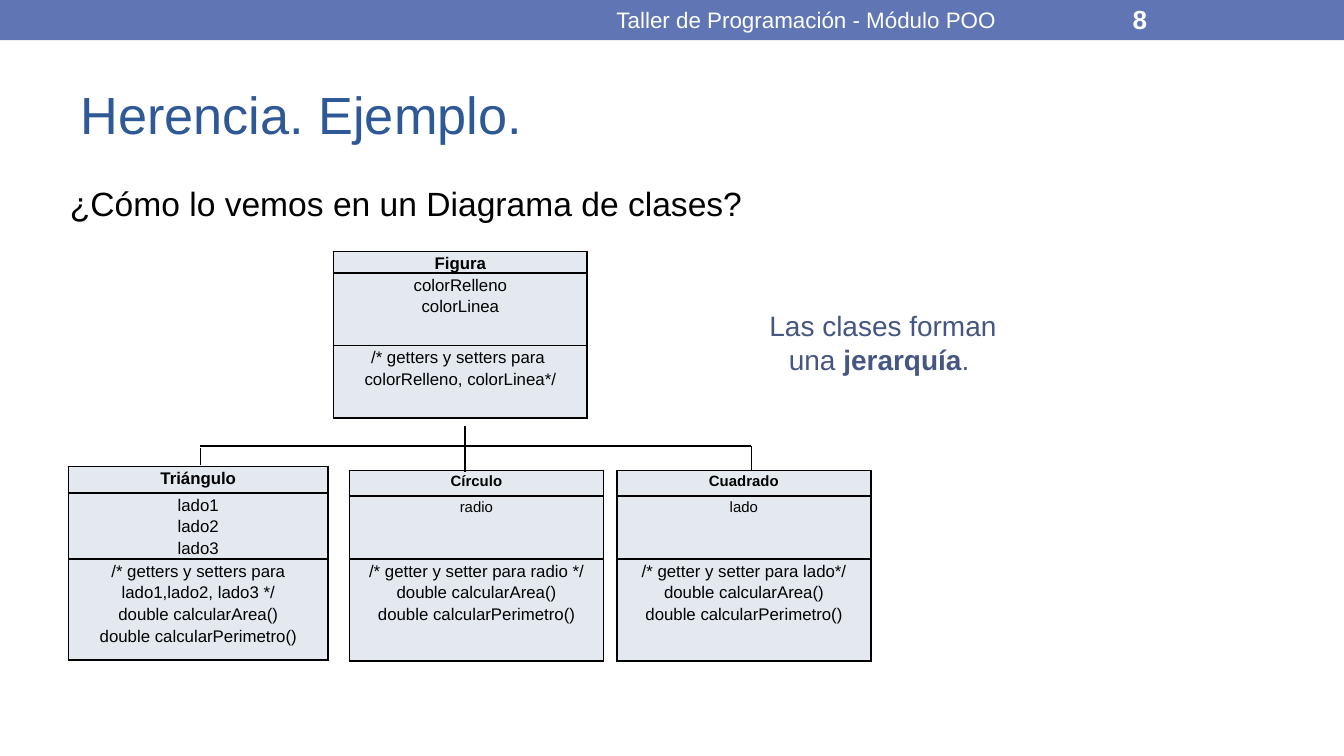
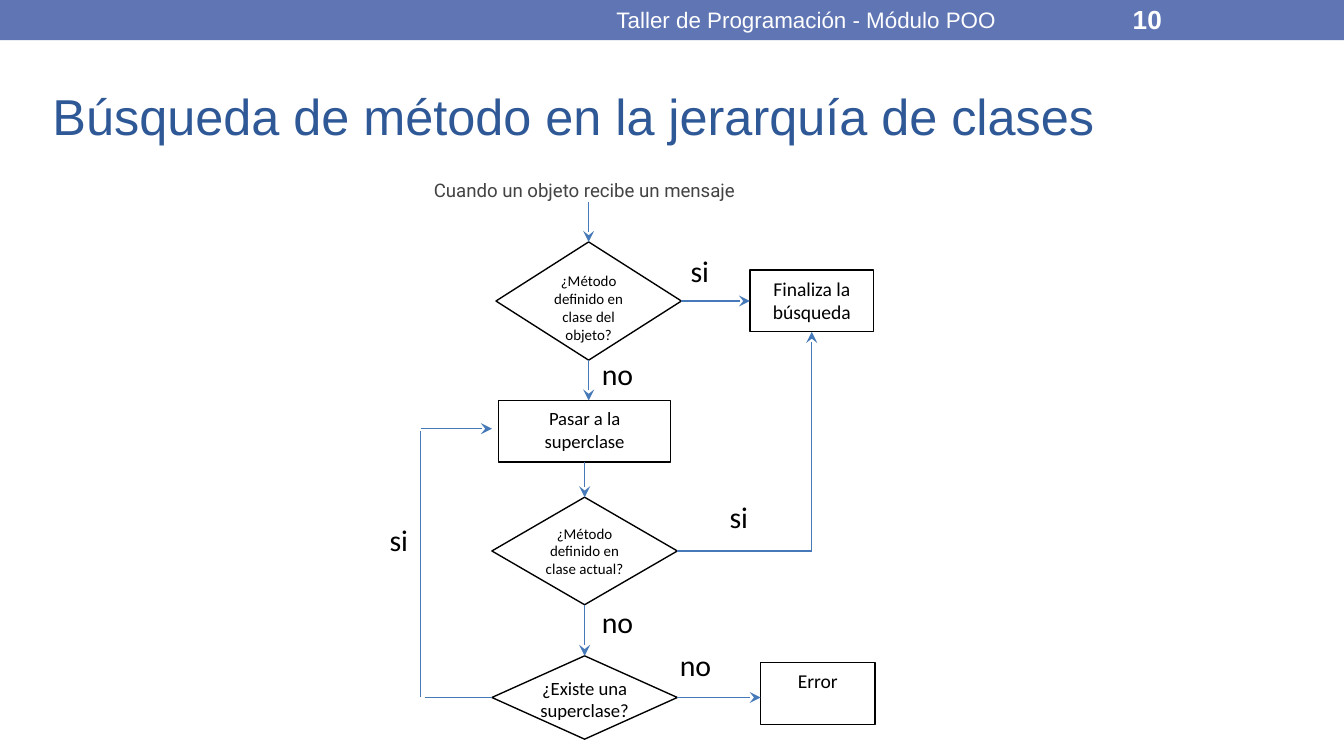
from pptx import Presentation
from pptx.dml.color import RGBColor
from pptx.enum.shapes import MSO_CONNECTOR as Connector, MSO_SHAPE as Preset
from pptx.enum.text import MSO_ANCHOR as Anchor, MSO_AUTO_SIZE as AutoSize, PP_ALIGN as Align
from pptx.oxml.ns import qn
from pptx.util import Pt
from lxml.etree import SubElement

EMU_PER_PX = 9144
SLIDE_WIDTH = 1000
BAND_HEIGHT = 30

WHITE = RGBColor(0xFF, 0xFF, 0xFF)
BLACK = RGBColor(0x00, 0x00, 0x00)
BAND_BLUE = RGBColor(0x60, 0x76, 0xB4)
TITLE_BLUE = RGBColor(0x2F, 0x58, 0x97)
NOTE_BLUE = RGBColor(0x46, 0x56, 0x83)
CELL_GREY = RGBColor(0xE4, 0xE9, 0xEF)
ARROW_BLUE = RGBColor(0x45, 0x79, 0xB8)
CAPTION_GREY = RGBColor(0x43, 0x43, 0x43)

TOP, LEFT, BOTTOM, RIGHT = range(4)


def px(*lengths):
    """Turn px lengths into a list of EMU."""
    return [length * EMU_PER_PX for length in lengths]


def shift(origin, box):
    """Move a box or point from its region's origin to the slide."""
    return (origin[0] + box[0], origin[1] + box[1], *box[2:])


def format_paragraph(paragraph, font, size, color, bold=False, align=Align.LEFT):
    """Format a paragraph and all its runs."""
    paragraph.alignment = align
    for run in paragraph.runs:
        run.font.name = font
        run.font.size = Pt(size)
        run.font.color.rgb = color
        run.font.bold = bold


def set_frame(text_frame, anchor=Anchor.TOP, inset=(10, 5)):
    """Set wrapping, anchor and insets of a text frame."""
    text_frame.word_wrap = True
    text_frame.auto_size = AutoSize.NONE
    text_frame.vertical_anchor = anchor
    across, down = px(*inset)
    text_frame.margin_left = text_frame.margin_right = across
    text_frame.margin_top = text_frame.margin_bottom = down


def add_text(shapes, box, text, font, size, color, bold=False, align=Align.LEFT,
             anchor=Anchor.TOP, inset=(10, 5)):
    """Add a text box with one formatted paragraph."""
    text_frame = shapes.add_textbox(*px(*box)).text_frame
    set_frame(text_frame, anchor, inset)
    text_frame.text = text
    format_paragraph(text_frame.paragraphs[0], font, size, color, bold, align)
    return text_frame


def fill_placeholder(placeholder, box, text, size, color, anchor=Anchor.TOP):
    """Place a title or body placeholder and set its text."""
    placeholder.left, placeholder.top, placeholder.width, placeholder.height = px(*box)
    set_frame(placeholder.text_frame, anchor)
    placeholder.text_frame.text = text
    paragraph = placeholder.text_frame.paragraphs[0]
    paragraph.space_before = Pt(0)
    format_paragraph(paragraph, "Arial", size, color)
    return paragraph


def add_line(shapes, start, end, color, arrow=False):
    """Draw a line between points or (shape, site) joints."""
    joints = [end_at if hasattr(end_at[0], "shape_id") else None for end_at in (start, end)]
    points = [(0, 0) if joint else px(*end_at) for joint, end_at in zip(joints, (start, end))]
    line = shapes.add_connector(Connector.STRAIGHT, *points[0], *points[1])
    if joints[0]:
        line.begin_connect(*joints[0])
    if joints[1]:
        line.end_connect(*joints[1])
    line.line.color.rgb = color
    line.line.width = Pt(0.75)
    if arrow:
        SubElement(line.line._get_or_add_ln(), qn("a:tailEnd"), type="stealth")
    SubElement(line.element.spPr, qn("a:effectLst"))


def add_master_band(presentation, slide):
    """Put the coloured band on the slide master."""
    band = slide.shapes.add_shape(Preset.RECTANGLE, *px(0, 0, SLIDE_WIDTH, BAND_HEIGHT))
    band.shadow.inherit = False
    band.fill.solid()
    band.fill.fore_color.rgb = BAND_BLUE
    band.line.fill.background()
    presentation.slide_master.shapes.element.append(band.element)


def add_header(slide, number):
    """Write the course name and slide number on the band."""
    add_text(slide.shapes, (375, 1, 450, 27), "Taller de Programación - Módulo POO",
             "Arial", 12, WHITE, align=Align.CENTER, anchor=Anchor.MIDDLE)
    add_text(slide.shapes, (833, 1, 117, 27), str(number), "Arial", 14, WHITE,
             bold=True, anchor=Anchor.MIDDLE)


def add_borders(cell):
    """Give a cell thin black borders on all sides."""
    properties = cell._tc.get_or_add_tcPr()
    for side in ("lnL", "lnR", "lnT", "lnB"):
        border = SubElement(properties, qn(f"a:{side}"), w=str(Pt(1)))
        fill = SubElement(border, qn("a:solidFill"))
        SubElement(fill, qn("a:srgbClr"), val=str(BLACK))


def add_class_table(slide, origin, place, row_heights, sections, sizes):
    """Add a class box with its name, attributes and methods."""
    left, top, width = shift(origin, place)
    frame = slide.shapes.add_table(3, 1, *px(left, top, width, sum(row_heights)))
    table = frame.table
    table.first_row = table.horz_banding = False
    for index, (height, text, size) in enumerate(zip(row_heights, sections, sizes)):
        table.rows[index].height = px(height)[0]
        cell = table.cell(index, 0)
        cell.margin_left = cell.margin_right = px(7)[0]
        cell.margin_top = cell.margin_bottom = 0
        add_borders(cell)
        cell.fill.solid()
        cell.fill.fore_color.rgb = CELL_GREY
        cell.text_frame.text = text
        for paragraph in cell.text_frame.paragraphs:
            paragraph.line_spacing = 1.15
            format_paragraph(paragraph, "Arial", size, BLACK, index == 0, Align.CENTER)


def add_class_diagram(slide, origin):
    """Draw the parent class, its three subclasses and the tree."""
    calculations = "\ndouble calcularArea()\ndouble calcularPerimetro()"
    classes = [
        ((197, 0, 189), (16, 54, 54), (9, 9, 9),
         ("Figura", "colorRelleno\ncolorLinea",
          "/* getters y setters para \ncolorRelleno, colorLinea*/")),
        ((209, 163, 189), (19, 47, 76), (8, 8, 9),
         ("Círculo", "radio", "/* getter y setter para radio */" + calculations)),
        ((0, 160, 193), (20, 49, 75), (9, 9, 9),
         ("Triángulo", "lado1\nlado2\nlado3",
          "/* getters y setters para lado1,lado2, lado3 */" + calculations)),
        ((408, 163, 189), (19, 47, 76), (8, 8, 9),
         ("Cuadrado", "lado", "/* getter y setter para lado*/" + calculations)),
    ]
    for place, row_heights, sizes, sections in classes:
        add_class_table(slide, origin, place, row_heights, sections, sizes)
    branches = [
        ((98, 145), (508, 145)),
        ((295, 130), (295, 148)),
        ((98, 146), (98, 159)),
        ((295, 147), (295, 164)),
        ((508, 145), (508, 163)),
    ]
    for start, end in branches:
        add_line(slide.shapes, shift(origin, start), shift(origin, end), BLACK)


def add_flow_step(shapes, box, preset, text, size):
    """Add one outlined step of the flowchart."""
    step = shapes.add_shape(preset, *px(*box))
    step.shadow.inherit = False
    step.fill.solid()
    step.fill.fore_color.rgb = WHITE
    step.line.color.rgb = BLACK
    step.line.width = Pt(0.75)
    set_frame(step.text_frame, inset=(0, 0) if preset == Preset.DIAMOND else (10, 5))
    step.text_frame.text = text
    format_paragraph(step.text_frame.paragraphs[0], "Calibri", size, BLACK, align=Align.CENTER)
    return step


def add_flowchart(slide, origin):
    """Draw the method lookup flowchart as one group."""
    shapes = slide.shapes.add_group_shape().shapes
    steps = [
        ((278, 51, 92, 46), Preset.RECTANGLE, "Finaliza la búsqueda", 10.5),
        ((91, 148, 128, 46), Preset.RECTANGLE, "Pasar a la superclase", 10),
        ((286, 343, 85, 46), Preset.RECTANGLE, "Error", 10.5),
        ((89, 30, 138, 88), Preset.DIAMOND, "¿Método definido en clase del objeto?", 8),
        ((86, 220, 138, 80), Preset.DIAMOND, "¿Método definido en clase actual?", 8),
        ((86, 338, 138, 62), Preset.DIAMOND, "¿Existe una superclase?", 10),
    ]
    finish, climb, _, own_class, current_class, has_parent = [
        add_flow_step(shapes, shift(origin, box), *details) for box, *details in steps]

    def at(*point):
        """Give a point of the flowchart on the slide."""
        return shift(origin, point)

    links = [
        (at(158, 0), (own_class, TOP), True),
        ((own_class, BOTTOM), at(158, 148), True),
        ((own_class, RIGHT), (finish, LEFT), True),
        ((climb, BOTTOM), (current_class, TOP), True),
        ((current_class, RIGHT), at(324, 260), False),
        (at(324, 260), (finish, BOTTOM), True),
        ((current_class, BOTTOM), (has_parent, TOP), True),
        ((has_parent, RIGHT), at(286, 369), True),
        ((has_parent, LEFT), at(36, 369), False),
        (at(33, 369), at(33, 171), False),
        (at(33, 169), at(86, 169), True),
    ]
    for start, end, arrow in links:
        add_line(shapes, start, end, ARROW_BLUE, arrow)

    answers = [
        ("si", (224, 33, 46, 39)),
        ("no", (158, 110, 62, 33)),
        ("si", (253, 216, 46, 33)),
        ("no", (158, 294, 62, 43)),
        ("si", (0, 233, 49, 43)),
        ("no", (216, 326, 52, 33)),
    ]
    for answer, box in answers:
        add_text(shapes, shift(origin, box), answer, "Calibri", 16, BLACK)


def build_inheritance_slide(presentation):
    """Build the slide with the class diagram."""
    slide = presentation.slides.add_slide(presentation.slide_layouts[1])
    add_master_band(presentation, slide)
    fill_placeholder(slide.shapes.title, (50, 44, 900, 81), "Herencia. Ejemplo.",
                     28, TITLE_BLUE, Anchor.MIDDLE)
    question = fill_placeholder(slide.placeholders[1], (42, 131, 900, 400),
                                "¿Cómo lo vemos en un Diagrama de clases?", 18, BLACK)
    properties = question._p.get_or_add_pPr()
    properties.set("marL", "0")
    properties.set("indent", "0")
    SubElement(properties, qn("a:buNone"))
    note = add_text(slide.shapes, (548, 225, 218, 66), "Las clases forman una ",
                    "Arial", 15, NOTE_BLUE).paragraphs[0]
    for text in ("jerarquía", ". "):
        note.add_run().text = text
    format_paragraph(note, "Arial", 15, NOTE_BLUE, align=Align.CENTER)
    note.runs[1].font.bold = True
    add_header(slide, 8)
    add_class_diagram(slide, (51, 187))


def build_lookup_slide(presentation):
    """Build the slide with the method lookup flowchart."""
    slide = presentation.slides.add_slide(presentation.slide_layouts[5])
    fill_placeholder(slide.shapes.title, (29, 45, 900, 81),
                     "Búsqueda de método en la jerarquía de clases",
                     27, TITLE_BLUE, Anchor.MIDDLE)
    add_header(slide, 10)
    add_flowchart(slide, (280, 150))
    add_text(slide.shapes, (313, 123, 281, 31), "Cuando un objeto recibe un mensaje",
             "Roboto", 10, CAPTION_GREY, inset=(10, 10))


def main():
    """Build and save the presentation."""
    presentation = Presentation()
    presentation.slide_width = px(SLIDE_WIDTH)[0]
    presentation.slide_height = presentation.slide_width * 9 // 16
    build_inheritance_slide(presentation)
    build_lookup_slide(presentation)
    presentation.save("out.pptx")


if __name__ == "__main__":
    main()
